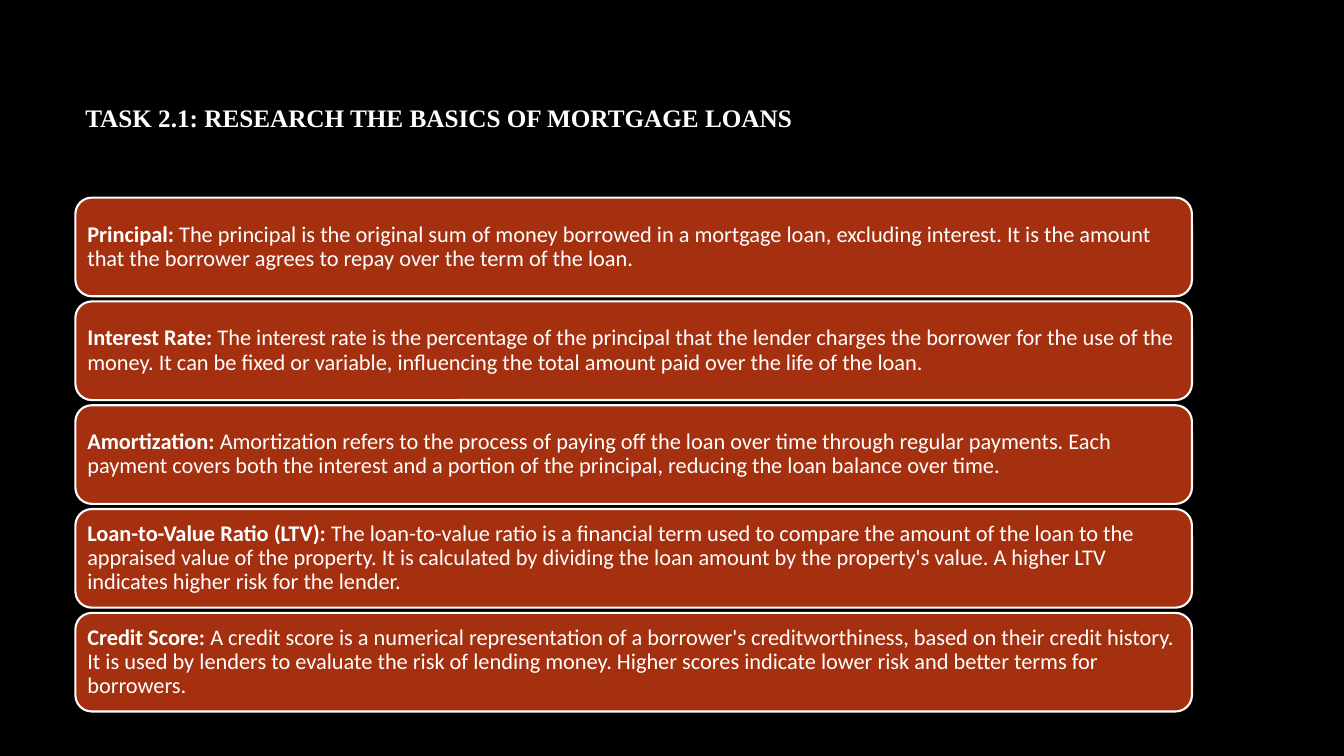
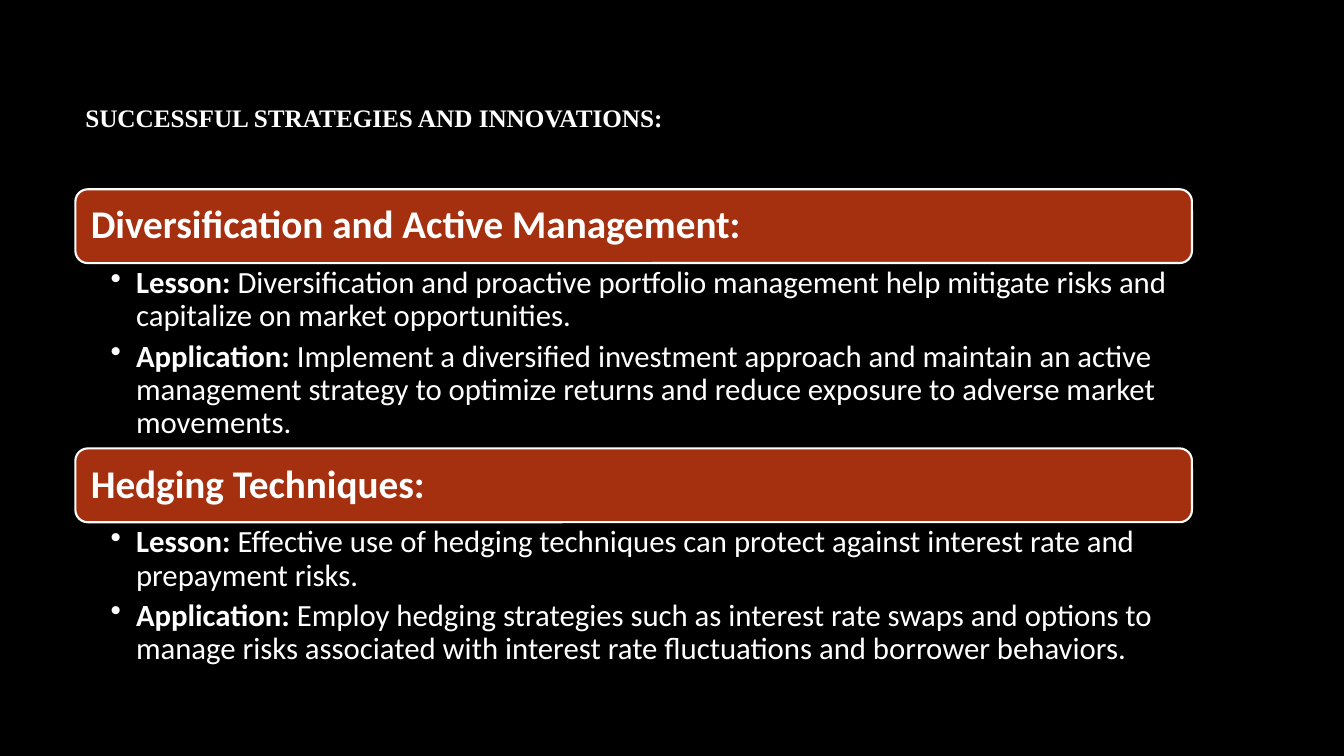
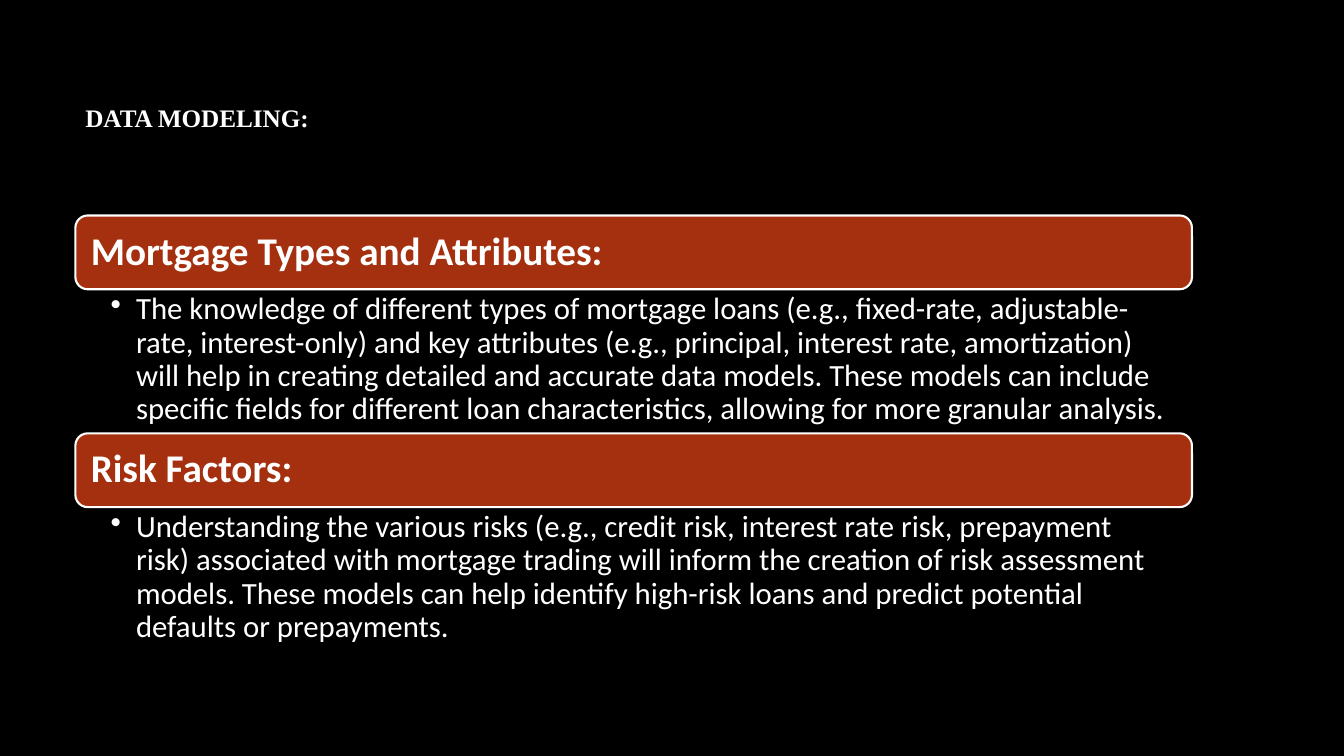
from lxml import etree
from pptx import Presentation
from pptx.dml.color import RGBColor
from pptx.enum.shapes import MSO_SHAPE
from pptx.enum.text import MSO_ANCHOR, PP_ALIGN
from pptx.oxml.ns import qn
from pptx.util import Cm, Pt

BLACK = RGBColor(0x00, 0x00, 0x00)
WHITE = RGBColor(0xFF, 0xFF, 0xFF)
RUST = RGBColor(0xA5, 0x30, 0x0F)

ROUNDED = MSO_SHAPE.ROUNDED_RECTANGLE
TOP, MIDDLE = MSO_ANCHOR.TOP, MSO_ANCHOR.MIDDLE
LEFT = PP_ALIGN.LEFT

TITLE_FONT, BODY_FONT = "Times New Roman", "Calibri"

# Shared column and spacing
COLUMN_LEFT, COLUMN_WIDTH = Cm(1.9), Cm(28.14)
CARD_GAP = Cm(0.13)
HEADING_HEIGHT = Cm(1.86)
BULLET_INDENT = Cm(0.64)

LOAN_BASICS = [
    ("Principal:", " The principal is the original sum of money borrowed in a mortgage loan, "
     "excluding interest. It is the amount that the borrower agrees to repay over the term "
     "of the loan."),
    ("Interest Rate:", " The interest rate is the percentage of the principal that the lender "
     "charges the borrower for the use of the money. It can be fixed or variable, influencing "
     "the total amount paid over the life of the loan."),
    ("Amortization:", " Amortization refers to the process of paying off the loan over time "
     "through regular payments. Each payment covers both the interest and a portion of the "
     "principal, reducing the loan balance over time."),
    ("Loan-to-Value Ratio (LTV):", " The loan-to-value ratio is a financial term used to "
     "compare the amount of the loan to the appraised value of the property. It is calculated "
     "by dividing the loan amount by the property's value. A higher LTV indicates higher risk "
     "for the lender."),
    ("Credit Score:", " A credit score is a numerical representation of a borrower's "
     "creditworthiness, based on their credit history. It is used by lenders to evaluate the "
     "risk of lending money. Higher scores indicate lower risk and better terms for borrowers."),
]

# Each section: heading, height of its bullet area, bullets as (bold lead, text)
STRATEGIES = [
    ("Diversification and Active Management:", Cm(4.67), [
        ("Lesson:", " Diversification and proactive portfolio management help mitigate risks "
         "and capitalize on market opportunities."),
        ("Application:", " Implement a diversified investment approach and maintain an active "
         "management strategy to optimize returns and reduce exposure to adverse market "
         "movements."),
    ]),
    ("Hedging Techniques:", Cm(3.86), [
        ("Lesson:", " Effective use of hedging techniques can protect against interest rate "
         "and prepayment risks."),
        ("Application:", " Employ hedging strategies such as interest rate swaps and options "
         "to manage risks associated with interest rate fluctuations and borrower behaviors."),
    ]),
]

DATA_MODELING = [
    ("Mortgage Types and Attributes:", Cm(3.63), [
        ("", "The knowledge of different types of mortgage loans (e.g., fixed-rate, "
         "adjustable-rate, interest-only) and key attributes (e.g., principal, interest rate, "
         "amortization) will help in creating detailed and accurate data models. These models "
         "can include specific fields for different loan characteristics, allowing for more "
         "granular analysis."),
    ]),
    ("Risk Factors:", Cm(3.63), [
        ("", "Understanding the various risks (e.g., credit risk, interest rate risk, "
         "prepayment risk) associated with mortgage trading will inform the creation of risk "
         "assessment models. These models can help identify high-risk loans and predict "
         "potential defaults or prepayments."),
    ]),
]


def set_frame(shape, anchor, left, top, right, bottom):
    frame = shape.text_frame
    frame.word_wrap = True
    frame.vertical_anchor = anchor
    frame.margin_left, frame.margin_top = left, top
    frame.margin_right, frame.margin_bottom = right, bottom
    return frame


def add_runs(paragraph, lead, text, size, font_name=BODY_FONT):
    """Add a bold lead followed by plain text, skipping whichever is empty."""
    paragraph.alignment = LEFT
    for content, bold in ((lead, True), (text, False)):
        if content:
            run = paragraph.add_run()
            run.text = content
            run.font.name = font_name
            run.font.size = Pt(size)
            run.font.bold = bold
            run.font.color.rgb = WHITE


def make_bullet(paragraph):
    paragraph.level = 1
    properties = paragraph._p.get_or_add_pPr()
    properties.set("marL", str(BULLET_INDENT))
    properties.set("indent", str(-BULLET_INDENT))
    etree.SubElement(properties, qn("a:buChar")).set("char", "•")


def add_title(slide, text):
    box = slide.shapes.add_textbox(COLUMN_LEFT, Cm(1.7), COLUMN_WIDTH, Cm(4.04))
    # The deep bottom margin lifts the title above the box's middle
    frame = set_frame(box, MIDDLE, Cm(0.25), Cm(0.13), Cm(0.25), Cm(1.63))
    add_runs(frame.paragraphs[0], text, "", 18, TITLE_FONT)


def add_card(slide, top, height, margin, lead, text, size):
    card = slide.shapes.add_shape(ROUNDED, COLUMN_LEFT, top, COLUMN_WIDTH, height)
    card.shadow.inherit = False
    card.fill.solid()
    card.fill.fore_color.rgb = RUST
    card.line.color.rgb = WHITE
    card.line.width = Pt(1.5)
    paragraph = set_frame(card, MIDDLE, margin, margin, margin, margin).paragraphs[0]
    paragraph.line_spacing = 0.9
    add_runs(paragraph, lead, text, size)


def add_bullets(slide, top, height, bullets):
    box = slide.shapes.add_textbox(COLUMN_LEFT, top, COLUMN_WIDTH, height)
    frame = set_frame(box, TOP, Cm(0.89), Cm(0.1), Cm(0.56), Cm(0.1))
    for index, (lead, text) in enumerate(bullets):
        paragraph = frame.add_paragraph() if index else frame.paragraphs[0]
        make_bullet(paragraph)
        paragraph.line_spacing = 0.9
        paragraph.space_after = Pt(5)
        add_runs(paragraph, lead, text, 22)


def add_slide(presentation, title):
    slide = presentation.slides.add_slide(presentation.slide_layouts[6])
    add_title(slide, title)
    return slide


def add_card_slide(presentation, title, top, height, cards):
    """A stack of equal cards filling the given height."""
    slide = add_slide(presentation, title)
    card_height = (height - CARD_GAP * (len(cards) - 1)) // len(cards)
    for index, (lead, text) in enumerate(cards):
        card_top = top + index * (card_height + CARD_GAP)
        add_card(slide, card_top, card_height, Cm(0.18), lead, text, 16)


def add_section_slide(presentation, title, top, sections):
    """Heading bars, each followed by its bullets."""
    slide = add_slide(presentation, title)
    for heading, bullets_height, bullets in sections:
        add_card(slide, top, HEADING_HEIGHT, Cm(0.3), heading, "", 28)
        top += HEADING_HEIGHT
        add_bullets(slide, top, bullets_height, bullets)
        top += bullets_height


def main():
    presentation = Presentation()
    presentation.slide_width, presentation.slide_height = Cm(33.87), Cm(19.05)
    background = presentation.slide_master.background.fill
    background.solid()
    background.fore_color.rgb = BLACK

    add_card_slide(presentation, "TASK 2.1: RESEARCH THE BASICS OF MORTGAGE LOANS",
                   Cm(4.98), Cm(12.95), LOAN_BASICS)
    add_section_slide(presentation, "SUCCESSFUL STRATEGIES AND INNOVATIONS:",
                      Cm(4.77), STRATEGIES)
    add_section_slide(presentation, "DATA MODELING:", Cm(5.43), DATA_MODELING)
    presentation.save("out.pptx")


if __name__ == "__main__":
    main()
